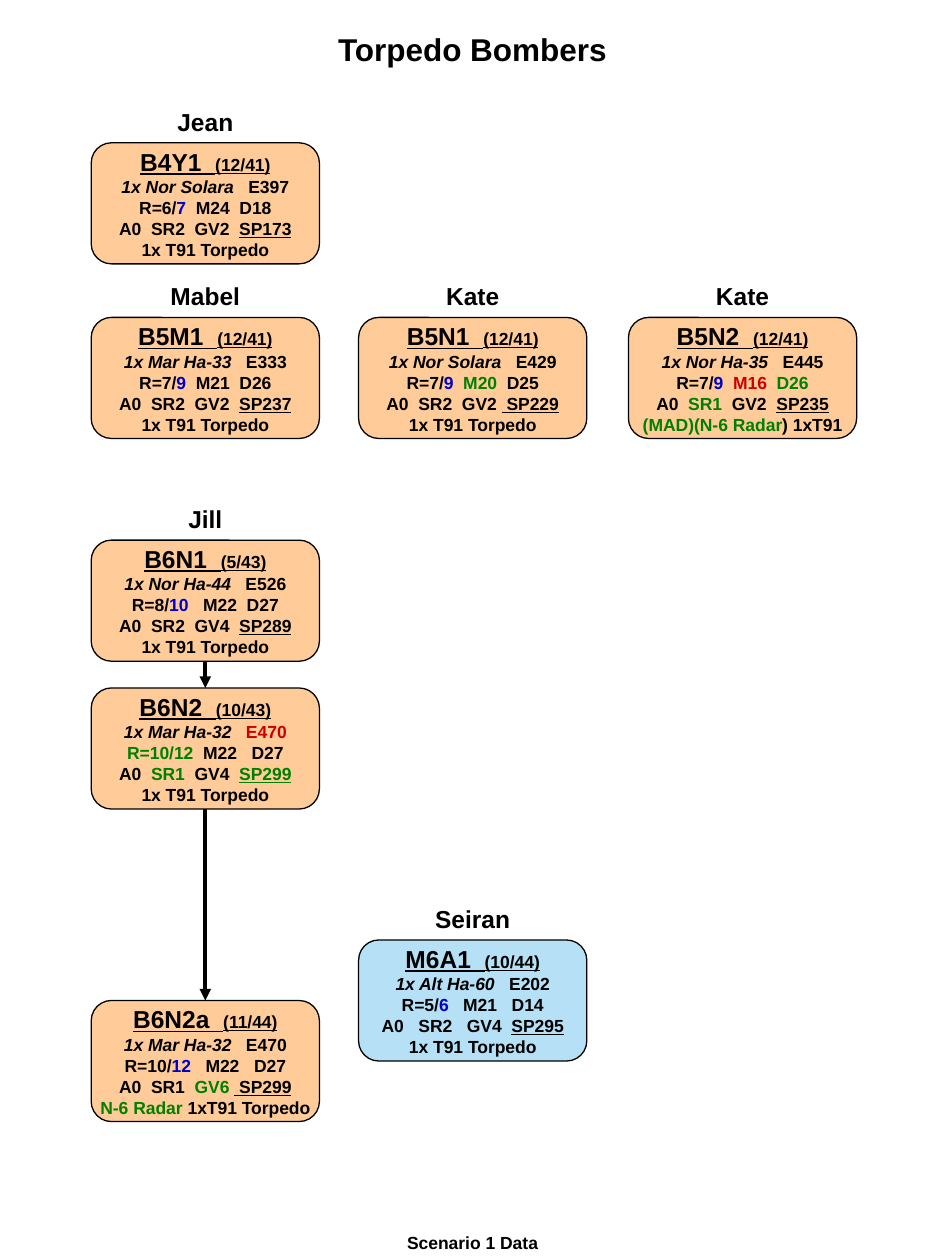
import pptx
import pptx.dml.color
import pptx.enum.shapes
import pptx.enum.text
import pptx.oxml.ns
import pptx.util
import lxml.etree

TITLE = "Torpedo Bombers"
FOOTER = "Scenario 1 Data"
TORPEDO = ["1x T91 Torpedo"]

ORANGE, PALE_BLUE, BLACK = "FFCC99", "B5E0F5", "000000"
BLUE, GREEN, RED = "0000CC", "008000", "CC0000"

STYLES = {
    "plain": {},
    "model": {"size": 14, "underline": True},
    "underlined": {"underline": True},
    "engine": {"italic": True},
    "blue": {"color": BLUE},
    "green": {"color": GREEN},
    "red": {"color": RED},
    "green underlined": {"color": GREEN, "underline": True},
}

# A line is a list of plain strings and (text, style) pairs.
AIRCRAFT = [
    {"model": "B4Y1", "date": "12/41", "column": 0, "top": 2.88, "lines": [
        [("1x Nor Solara ", "engine"), "  E397"],
        ["R=6/", ("7", "blue"), "  M24  D18"],
        ["A0  SR2  GV2  ", ("SP173", "underlined")],
        TORPEDO]},
    {"model": "B5M1", "date": "12/41", "column": 0, "top": 6.4, "lines": [
        [("1x Mar Ha-33", "engine"), "   E333"],
        ["R=7/", ("9", "blue"), "  M21  D26"],
        ["A0  SR2  GV2  ", ("SP237", "underlined")],
        TORPEDO]},
    {"model": "B5N1", "date": "12/41", "column": 1, "top": 6.4, "lines": [
        [("1x Nor Solara ", "engine"), "  E429"],
        ["R=7/", ("9 ", "blue"), (" M20", "green"), "  D25"],
        ["A0  SR2  GV2 ", (" SP229", "underlined")],
        TORPEDO]},
    {"model": "B5N2", "date": "12/41", "column": 2, "top": 6.4, "lines": [
        [("1x Nor Ha-35 ", "engine"), "  E445"],
        ["R=7/", ("9  ", "blue"), ("M16  ", "red"), ("D26", "green")],
        ["A0  ", ("SR1", "green"), "  GV2  ", ("SP235", "underlined")],
        [("(MAD)(N-6 Radar", "green"), ") 1xT91"]]},
    {"model": "B6N1", "date": "5/43", "column": 0, "top": 10.89, "lines": [
        [("1x Nor Ha-44 ", "engine"), "  E526"],
        ["R=8/", ("10", "blue"), "   M22  D27"],
        ["A0  SR2  GV4  ", ("SP289", "underlined")],
        TORPEDO]},
    {"model": "B6N2", "date": "10/43", "column": 0, "top": 13.87, "lines": [
        [("1x Mar Ha-32   ", "engine"), ("E470", "red")],
        [("R=10/12 ", "green"), " M22   D27"],
        ["A0  ", ("SR1", "green"), "  GV4  ", ("SP299", "green underlined")],
        TORPEDO]},
    {"model": "B6N2a", "date": "11/44", "column": 0, "top": 20.17, "lines": [
        [("1x Mar Ha-32", "engine"), "   E470"],
        ["R=10/", ("12", "blue"), "   M22   D27"],
        ["A0  SR1  ", ("GV6 ", "green"), (" SP299", "underlined")],
        [("N-6 Radar", "green"), " 1xT91 Torpedo"]]},
    {"model": "M6A1", "date": "10/44", "column": 1, "top": 18.95, "fill": PALE_BLUE, "lines": [
        [("1x Alt Ha-60 ", "engine"), "  E202"],
        ["R=5/", ("6 ", "blue"), "  M21   D14"],
        ["A0   SR2   GV4  ", ("SP295", "underlined")],
        TORPEDO]},
]
# model below the label, label, label width
LABELS = [("B4Y1", "Jean", 1.8), ("B5M1", "Mabel", 2.2), ("B5N1", "Kate", 1.8),
          ("B5N2", "Kate", 1.8), ("B6N1", "Jill", 1.4), ("M6A1", "Seiran", 2.3)]
UPGRADES = [("B6N1", "B6N2"), ("B6N2", "B6N2a")]

SLIDE_WIDTH, SLIDE_HEIGHT = 19.05, 25.4
COLUMN_LEFTS = [1.84, 7.23, 12.67]
CARD_WIDTH, CARD_HEIGHT = 4.6, 2.44
LABEL_HEIGHT = 0.86


def rgb(hex_string):
    return pptx.dml.color.RGBColor.from_string(hex_string)


def cm(*lengths):
    return [pptx.util.Cm(length) for length in lengths]


def write_run(paragraph, text, size=10, color=BLACK, **styles):
    run = paragraph.add_run()
    run.text = text
    run.font.color.rgb = rgb(color)
    values = {"name": "Arial", "size": pptx.util.Pt(size), "bold": True, **styles}
    for name, value in values.items():
        setattr(run.font, name, value)


def format_frame(frame, auto_size):
    side, edge = cm(0.25, 0.13)
    values = {
        "word_wrap": False, "auto_size": auto_size,
        "vertical_anchor": pptx.enum.text.MSO_ANCHOR.MIDDLE,
        "margin_left": side, "margin_right": side,
        "margin_top": edge, "margin_bottom": edge,
    }
    for name, value in values.items():
        setattr(frame, name, value)


def write_heading(shape, text, size):
    frame = shape.text_frame
    format_frame(frame, pptx.enum.text.MSO_AUTO_SIZE.SHAPE_TO_FIT_TEXT)
    paragraph = frame.paragraphs[0]
    paragraph.alignment = pptx.enum.text.PP_ALIGN.CENTER
    write_run(paragraph, text, size)


def add_heading(slide, text, size, center, top, width, height):
    shape = slide.shapes.add_textbox(*cm(center - width / 2, top, width, height))
    write_heading(shape, text, size)


def add_card(slide, aircraft):
    card = slide.shapes.add_shape(
        pptx.enum.shapes.MSO_SHAPE.ROUNDED_RECTANGLE,
        *cm(COLUMN_LEFTS[aircraft["column"]], aircraft["top"], CARD_WIDTH, CARD_HEIGHT))
    card.shadow.inherit = False
    card.fill.solid()
    card.fill.fore_color.rgb = rgb(aircraft.get("fill", ORANGE))
    card.line.color.rgb = rgb(BLACK)
    card.line.width = pptx.util.Pt(0.75)

    frame = card.text_frame
    format_frame(frame, pptx.enum.text.MSO_AUTO_SIZE.NONE)
    heading = [(aircraft["model"] + "  ", "model"), (f"({aircraft['date']})", "underlined")]
    for index, line in enumerate([heading, *aircraft["lines"]]):
        paragraph = frame.add_paragraph() if index else frame.paragraphs[0]
        paragraph.alignment = pptx.enum.text.PP_ALIGN.CENTER
        for part in line:
            text, style = (part, "plain") if isinstance(part, str) else part
            write_run(paragraph, text, **STYLES[style])
    return card


def add_upgrade_arrow(slide, upper, lower):
    arrow = slide.shapes.add_connector(pptx.enum.shapes.MSO_CONNECTOR.STRAIGHT, 0, 0, 0, 0)
    arrow.begin_connect(upper, 2)
    arrow.end_connect(lower, 0)
    arrow.line.color.rgb = rgb(BLACK)
    arrow.line.width = pptx.util.Pt(2.25)
    qualified = pptx.oxml.ns.qn
    properties = arrow.element.spPr
    line = properties.find(qualified("a:ln"))
    lxml.etree.SubElement(line, qualified("a:tailEnd"), type="triangle")
    lxml.etree.SubElement(properties, qualified("a:effectLst"))


def main():
    presentation = pptx.Presentation()
    presentation.slide_width, presentation.slide_height = cm(SLIDE_WIDTH, SLIDE_HEIGHT)
    slide = presentation.slides.add_slide(presentation.slide_layouts[5])

    title = slide.shapes.title
    title_width = 5.97
    title.left, title.top, title.width, title.height = cm(
        (SLIDE_WIDTH - title_width) / 2, 0.48, title_width, 1.02)
    write_heading(title, TITLE, 18)

    cards = {aircraft["model"]: add_card(slide, aircraft) for aircraft in AIRCRAFT}
    for model, text, width in LABELS:
        card = cards[model]
        add_heading(slide, text, 14, card.left.cm + CARD_WIDTH / 2,
                    card.top.cm - LABEL_HEIGHT, width, LABEL_HEIGHT)
    for upper, lower in UPGRADES:
        add_upgrade_arrow(slide, cards[upper], cards[lower])
    add_heading(slide, FOOTER, 10, SLIDE_WIDTH / 2, 24.71, 3.3, 0.69)

    presentation.save("out.pptx")


if __name__ == "__main__":
    main()
